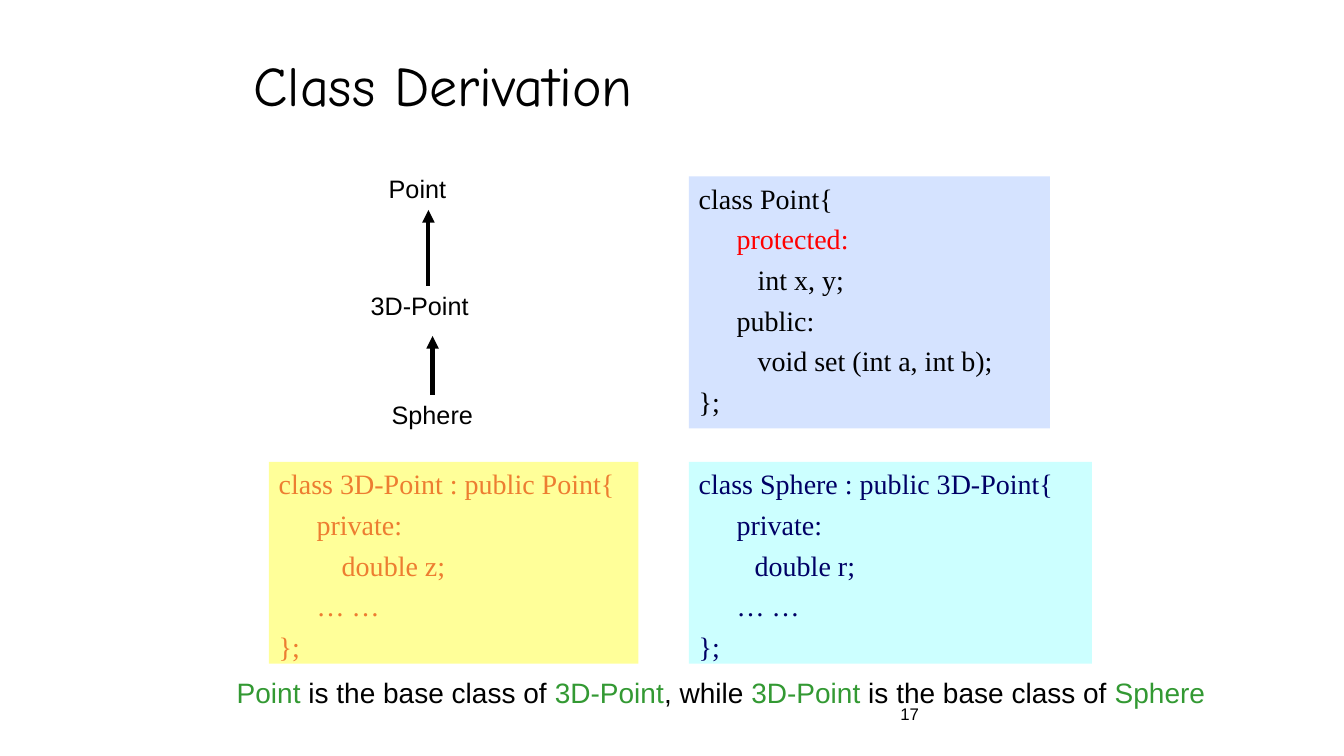
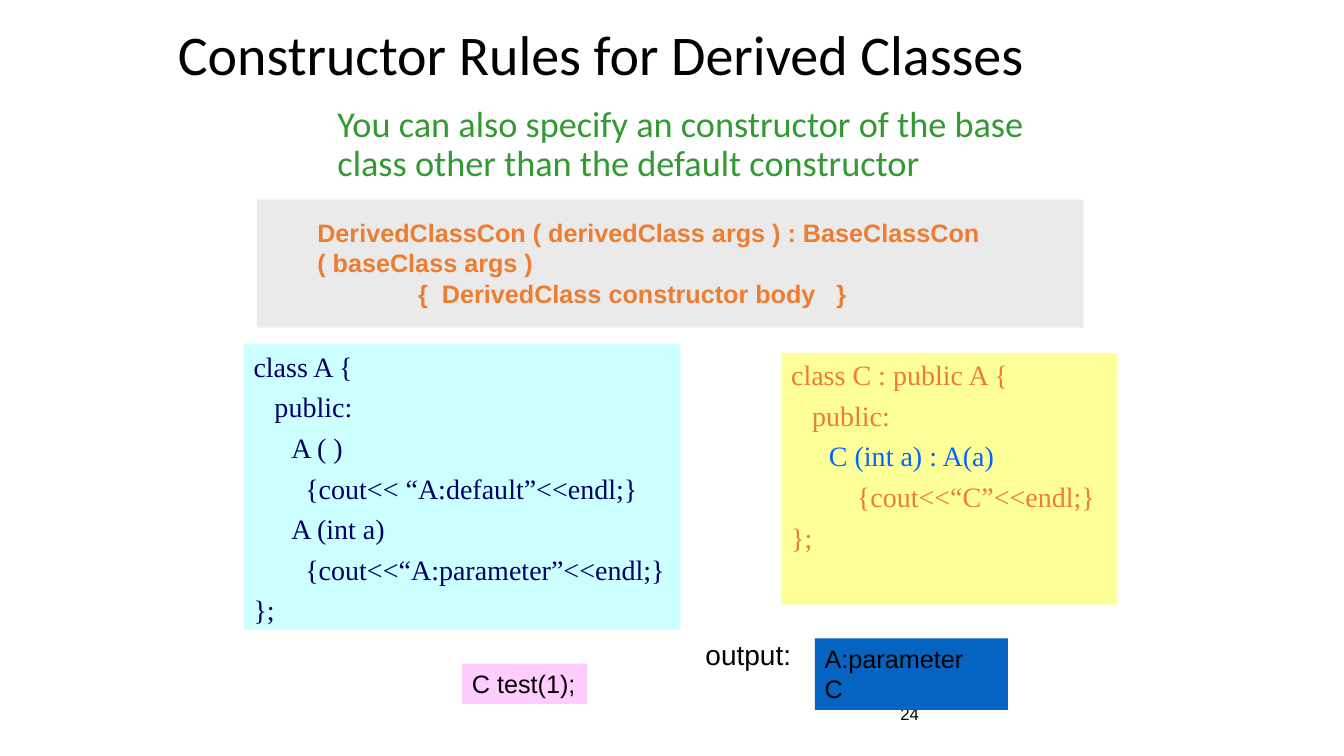
"""Build two slides on class derivation and constructor rules."""
from dataclasses import dataclass
from typing import Optional

from lxml.etree import SubElement
from pptx import Presentation
from pptx.dml.color import RGBColor
from pptx.enum.shapes import MSO_CONNECTOR, MSO_SHAPE
from pptx.enum.text import MSO_ANCHOR, PP_ALIGN
from pptx.oxml.ns import qn
from pptx.slide import Slide
from pptx.util import Pt

BLACK, RED, BLUE = "000000", "FF0000", "0066FF"
GREEN, ORANGE, NAVY = "339933", "ED7D31", "000066"
PALE_BLUE, YELLOW, CYAN = "D5E3FF", "FFFF99", "CCFFFF"
GRAY, PINK, STRONG_BLUE = "EAEAEA", "FFCCFF", "0563C1"
TAB = 27


@dataclass(frozen=True)
class Frame:
    left: float
    top: float
    width: float
    height: float


@dataclass(frozen=True)
class Run:
    text: str
    color: Optional[str] = None


@dataclass(frozen=True)
class Line:
    runs: tuple[Run, ...]
    indent: float = 0


@dataclass(frozen=True)
class CodePanel:
    frame: Frame
    fill: str
    color: str
    lines: tuple[Line, ...]


@dataclass(frozen=True)
class Label:
    text: str
    frame: Frame
    size: float = 18
    fill: Optional[str] = None


@dataclass(frozen=True)
class Arrow:
    x: float
    top: float
    bottom: float


def rgb(value: str) -> RGBColor:
    return RGBColor.from_string(value)


def line(text: str, indent: float = 0, color: Optional[str] = None) -> Line:
    return Line((Run(text, color),), indent)


def add_text(slide: Slide, frame: Frame, lines: tuple[Line, ...], *, font: str = "Arial",
             size: float = 18, color: str = BLACK, bold: bool = False,
             fill: Optional[str] = None, wrap: bool = True,
             anchor: MSO_ANCHOR = MSO_ANCHOR.TOP, space_before: float = 0,
             line_spacing: float = 1.0, top_inset: float = 3.6) -> None:
    box = Pt(frame.left), Pt(frame.top), Pt(frame.width), Pt(frame.height)
    if fill:
        shape = slide.shapes.add_shape(MSO_SHAPE.RECTANGLE, *box)
        shape.shadow.inherit = False
        shape.fill.solid()
        shape.fill.fore_color.rgb = rgb(fill)
        shape.line.fill.background()
    else:
        shape = slide.shapes.add_textbox(*box)
    text_frame = shape.text_frame
    text_frame.word_wrap = wrap
    text_frame.vertical_anchor = anchor
    text_frame.margin_top = Pt(top_inset)
    for index, item in enumerate(lines):
        paragraph = text_frame.add_paragraph() if index else text_frame.paragraphs[0]
        paragraph.alignment = PP_ALIGN.LEFT
        paragraph.space_before = Pt(space_before)
        paragraph.line_spacing = line_spacing
        properties = paragraph._p.get_or_add_pPr()
        properties.set("marL", str(Pt(item.indent)))
        properties.set("indent", "0")
        for part in item.runs:
            run = paragraph.add_run()
            run.text = part.text
            run.font.name = font
            run.font.size = Pt(size)
            run.font.bold = bold
            run.font.color.rgb = rgb(part.color or color)


def add_code(slide: Slide, panel: CodePanel) -> None:
    add_text(slide, panel.frame, panel.lines, font="Times New Roman", size=20,
             color=panel.color, fill=panel.fill, space_before=5)


def add_label(slide: Slide, label: Label) -> None:
    add_text(slide, label.frame, (line(label.text),), size=label.size,
             fill=label.fill, wrap=False)


def add_title(slide: Slide, text: str, frame: Frame, *, font: str, anchor: MSO_ANCHOR) -> None:
    add_text(slide, frame, (line(text),), font=font, size=40, anchor=anchor, line_spacing=0.9)


def add_page_number(slide: Slide, number: int) -> None:
    add_text(slide, Frame(636, 492, 150, 36), (line(str(number)),), size=12,
             anchor=MSO_ANCHOR.MIDDLE)


def add_arrow(slide: Slide, arrow: Arrow) -> None:
    connector = slide.shapes.add_connector(
        MSO_CONNECTOR.STRAIGHT, Pt(arrow.x), Pt(arrow.top), Pt(arrow.x), Pt(arrow.bottom))
    connector.line.color.rgb = rgb(BLACK)
    connector.line.width = Pt(3)
    SubElement(connector.line._get_or_add_ln(), qn("a:headEnd"), type="triangle")
    SubElement(connector._element.spPr, qn("a:effectLst"))


def build_derivation(slide: Slide) -> None:
    add_page_number(slide, 17)
    add_title(slide, "Class Derivation", Frame(174, 36, 612, 54),
              font="Comic Neue", anchor=MSO_ANCHOR.MIDDLE)
    hierarchy = (
        Label("Point", Frame(270.6, 120, 56, 29)),
        Label("3D-Point", Frame(257.6, 204, 85, 29)),
        Label("Sphere", Frame(272.7, 282, 73.5, 29)),
    )
    for label in hierarchy:
        add_label(slide, label)
    for arrow in (Arrow(306, 150, 204), Arrow(309, 240, 282)):
        add_arrow(slide, arrow)
    panels = (
        CodePanel(Frame(492, 126, 258, 180), PALE_BLUE, BLACK, (
            line("class Point{"),
            line("protected:", TAB, RED),
            line("int x, y;", TAB + 15),
            line("public:", TAB),
            line("void set (int a, int b);", TAB + 15),
            line("};"))),
        CodePanel(Frame(192, 330, 264, 144), YELLOW, ORANGE, (
            line("class 3D-Point : public Point{"),
            line("private:", TAB),
            line("double z;", 45),
            line("… …", TAB),
            line("};"))),
        CodePanel(Frame(492, 330, 288, 144), CYAN, NAVY, (
            line("class Sphere : public 3D-Point{"),
            line("private:", TAB),
            line("double r;", 40),
            line("… …", TAB),
            line("};"))),
    )
    for panel in panels:
        add_code(slide, panel)
    summary = Line((
        Run("Point", GREEN), Run(" is the base class of "), Run("3D-Point", GREEN),
        Run(", while "), Run("3D-Point", GREEN), Run(" is the base class of "),
        Run("Sphere", GREEN)))
    add_text(slide, Frame(162, 479, 711, 31.5), (summary,), size=20, wrap=False)


def build_constructor_rules(slide: Slide) -> None:
    add_page_number(slide, 24)
    add_title(slide, "Constructor Rules for Derived Classes", Frame(120, 12, 705, 54),
              font="Calibri", anchor=MSO_ANCHOR.BOTTOM)
    advice = ("You can also specify an constructor of the base class "
              "other than the default constructor")
    add_text(slide, Frame(216, 72, 534, 72), (line(advice, 18),), font="Calibri",
             size=25.9, color=GREEN, line_spacing=0.9)
    panels = (
        CodePanel(Frame(174, 246, 312, 204), CYAN, NAVY, (
            line("class A {"),
            line("public:", 15),
            line("A ( )", TAB),
            line("{cout<< “A:default”<<endl;}", TAB + 10),
            line("A (int a)", TAB),
            line("{cout<<“A:parameter”<<endl;}", TAB + 10),
            line("};"))),
        CodePanel(Frame(558, 252, 240, 180), YELLOW, ORANGE, (
            line("class C : public A {"),
            line("public:", 15),
            line("C (int a) : A(a)", TAB, BLUE),
            line("{cout<<“C”<<endl;}", TAB + 20),
            line("};"))),
    )
    for panel in panels:
        add_code(slide, panel)
    add_label(slide, Label("C test(1);", Frame(330, 474, 89.5, 29), fill=PINK))
    add_text(slide, Frame(582, 456, 138, 51), (line("A:parameter"), line("C")),
             fill=STRONG_BLUE)
    add_label(slide, Label("output:", Frame(496.8, 451.5, 76, 31.5), size=20))
    syntax = (
        line("DerivedClassCon ( derivedClass args ) : BaseClassCon ( baseClass args )", 36),
        line("{  DerivedClass constructor body   }", 108),
    )
    add_text(slide, Frame(183.6, 142.6, 590.4, 91.4), syntax, color=ORANGE, bold=True,
             fill=GRAY, top_inset=12.8)


def main() -> None:
    presentation = Presentation()
    presentation.slide_width, presentation.slide_height = Pt(960), Pt(540)
    for build in (build_derivation, build_constructor_rules):
        build(presentation.slides.add_slide(presentation.slide_layouts[6]))
    presentation.save("out.pptx")


main()
